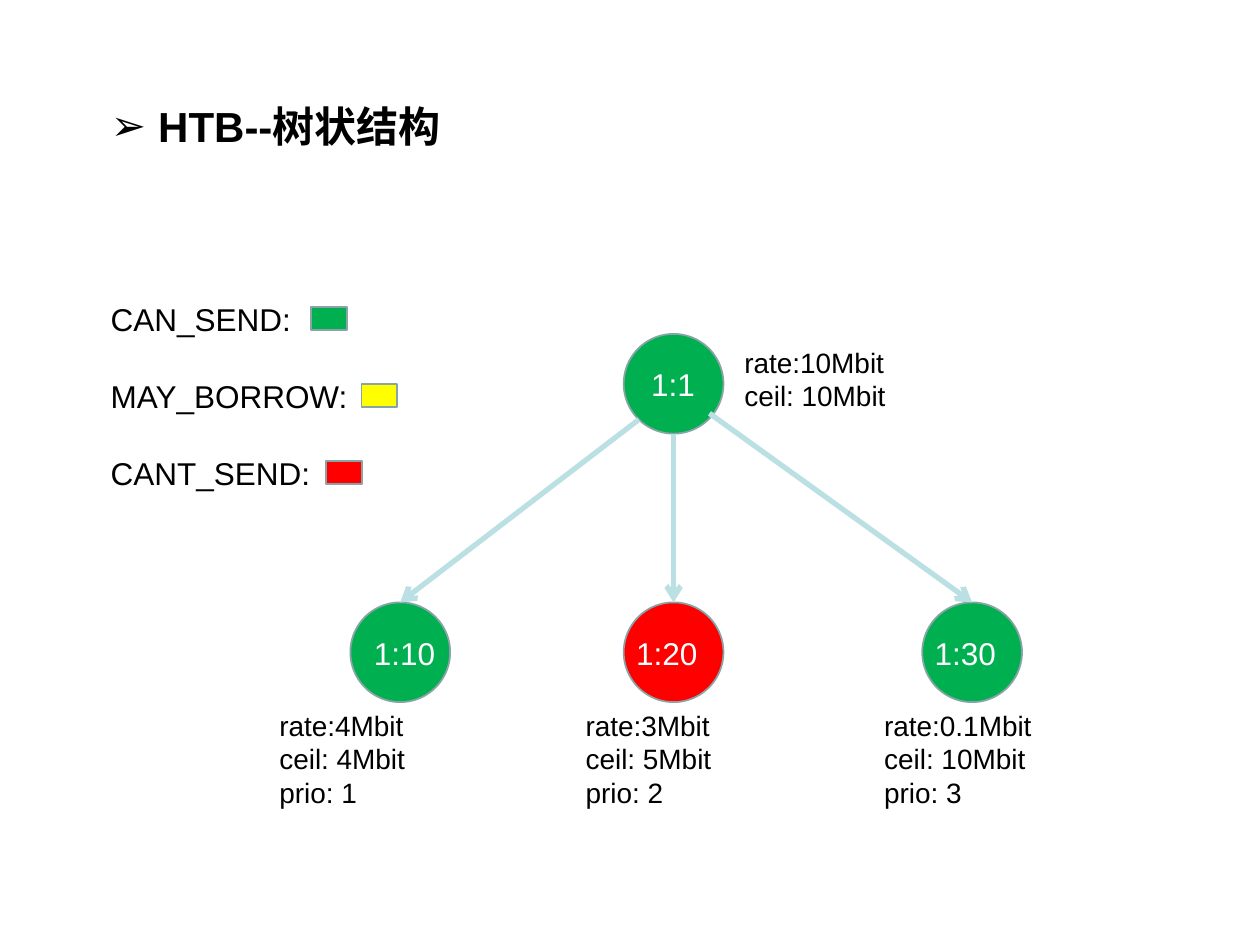
from lxml import etree
from pptx import Presentation
from pptx.dml.color import RGBColor
from pptx.enum.shapes import MSO_CONNECTOR, MSO_SHAPE
from pptx.enum.text import MSO_ANCHOR, MSO_AUTO_SIZE, PP_ALIGN
from pptx.oxml.ns import qn
from pptx.util import Pt

RECTANGLE, OVAL = MSO_SHAPE.RECTANGLE, MSO_SHAPE.OVAL
STRAIGHT = MSO_CONNECTOR.STRAIGHT
TOP, LEFT, NO_FIT = MSO_ANCHOR.TOP, PP_ALIGN.LEFT, MSO_AUTO_SIZE.NONE

FONT = "Arial"
BLACK, WHITE = "000000", "FFFFFF"
GREEN, YELLOW, RED = "00B050", "FFFF00", "FF0000"
OUTLINE, ARROW = "89A4A7", "BBE0E3"

TITLE = "HTB--树状结构"
# state, swatch colour, swatch left
LEGEND = [
    ("CAN_SEND:", GREEN, 177.8),
    ("MAY_BORROW:", YELLOW, 206.6),
    ("CANT_SEND:", RED, 186.5),
]
ROOT = {"name": "1:1", "color": GREEN, "left": 356.4, "top": 190.8, "name_shift": 8.6,
        "limits": ["rate:10Mbit", "ceil: 10Mbit"]}
# arrow_from: where the arrow leaves the root; limits_shift: limits box from circle left
CHILDREN = [
    {"name": "1:10", "color": GREEN, "left": 200.2, "name_shift": 6.4,
     "arrow_from": (365, 239.8), "limits_shift": -47.6,
     "limits": ["rate:4Mbit", "ceil: 4Mbit", "prio: 1"]},
    {"name": "1:20", "color": RED, "left": 356.4, "name_shift": 0,
     "arrow_from": (384.9, 247.8), "limits_shift": -28.8,
     "limits": ["rate:3Mbit", "ceil: 5Mbit", "prio: 2"]},
    {"name": "1:30", "color": GREEN, "left": 527, "name_shift": 0,
     "arrow_from": (405.4, 236.2), "limits_shift": -28.8,
     "limits": ["rate:0.1Mbit", "ceil: 10Mbit", "prio: 3"]},
]
DIAMETER = 57
CHILD_TOP = 344.2
SWATCH_TOP, SWATCH_STEP, SWATCH_SIZE = 175.4, 44, (20.4, 13.2)


def rgb(value):
    return RGBColor.from_string(value)


def style(paragraph, size, color, bold=False):
    paragraph.alignment = LEFT
    font = paragraph.font
    font.name, font.size, font.bold = FONT, Pt(size), bold
    font.color.rgb = rgb(color)


def add_text(page, lines, left, top, width, height, size, color=BLACK, gap=0):
    box = page.shapes.add_textbox(Pt(left), Pt(top), Pt(width), Pt(height))
    frame = box.text_frame
    frame.word_wrap = True
    frame.text = "\n".join(lines)
    for index, paragraph in enumerate(frame.paragraphs):
        style(paragraph, size, color)
        if index and gap:
            paragraph.space_before = Pt(gap)


def add_filled(page, kind, left, top, width, height, color):
    shape = page.shapes.add_shape(kind, Pt(left), Pt(top), Pt(width), Pt(height))
    shape.shadow.inherit = False
    shape.fill.solid()
    shape.fill.fore_color.rgb = rgb(color)
    shape.line.color.rgb = rgb(OUTLINE)
    shape.line.width = Pt(1)


def add_node(page, node, top):
    add_filled(page, OVAL, node["left"], top, DIAMETER, DIAMETER, node["color"])
    add_text(page, [node["name"]], node["left"] + node["name_shift"], top + 14.4,
             65, 29, 18, WHITE)


def add_arrow(page, start, end):
    arrow = page.shapes.add_connector(STRAIGHT, *(Pt(value) for value in start + end))
    arrow.line.color.rgb = rgb(ARROW)
    arrow.line.width = Pt(3)
    etree.SubElement(arrow.line._get_or_add_ln(), qn("a:tailEnd"), type="arrow")
    etree.SubElement(arrow._element.spPr, qn("a:effectLst"))


def format_title(title):
    title.left, title.top, title.width, title.height = Pt(56.2), Pt(54), Pt(242.6), Pt(36)
    frame = title.text_frame
    frame.text = TITLE
    frame.vertical_anchor, frame.auto_size = TOP, NO_FIT
    paragraph = frame.paragraphs[0]
    properties = paragraph._p.get_or_add_pPr()
    properties.set("marL", str(Pt(27)))
    properties.set("indent", str(Pt(-27)))
    bullet_color = etree.SubElement(properties, qn("a:buClr"))
    etree.SubElement(bullet_color, qn("a:srgbClr"), val=BLACK)
    etree.SubElement(properties, qn("a:buFont"), typeface=FONT)
    etree.SubElement(properties, qn("a:buChar"), char="➢")
    style(paragraph, 24, BLACK, bold=True)


def main():
    deck = Presentation()
    deck.slide_width, deck.slide_height = Pt(720), Pt(540)
    page = deck.slides.add_slide(deck.slide_layouts[5])
    format_title(page.shapes.title)

    add_text(page, [state for state, _, _ in LEGEND], 56.2, 167.8, 177, 115, 18, gap=22.5)
    for row, (_, color, left) in enumerate(LEGEND):
        add_filled(page, RECTANGLE, left, SWATCH_TOP + row * SWATCH_STEP, *SWATCH_SIZE, color)

    add_node(page, ROOT, ROOT["top"])
    add_text(page, ROOT["limits"], 418.3, 193.7, 115.2, 64.8, 16)
    for child in CHILDREN:
        add_node(page, child, CHILD_TOP)
        add_text(page, child["limits"], child["left"] + child["limits_shift"],
                 CHILD_TOP + DIAMETER, 115.6, 84.2, 16)
        add_arrow(page, child["arrow_from"], (child["left"] + DIAMETER / 2, CHILD_TOP))
    deck.save("out.pptx")


if __name__ == "__main__":
    main()
